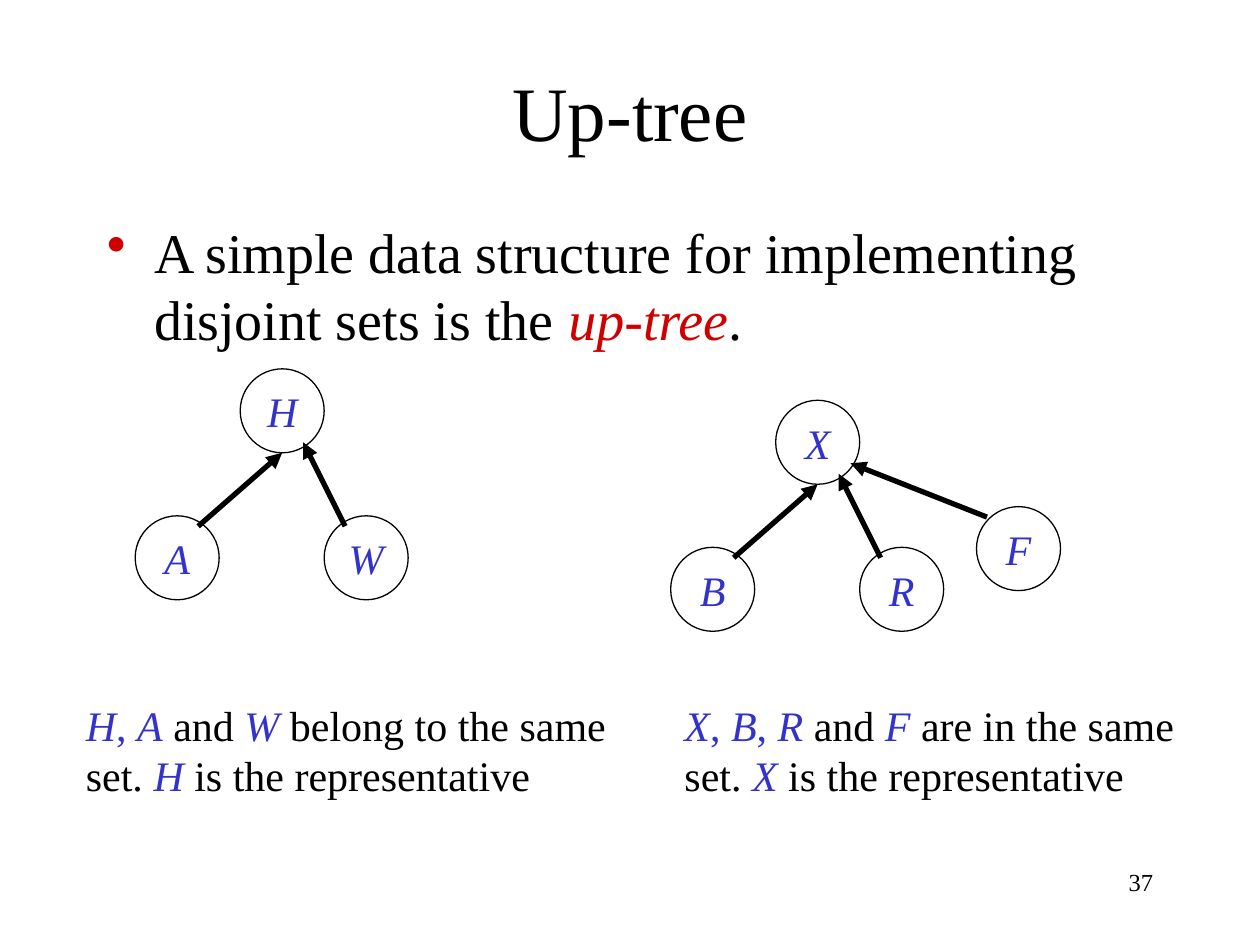
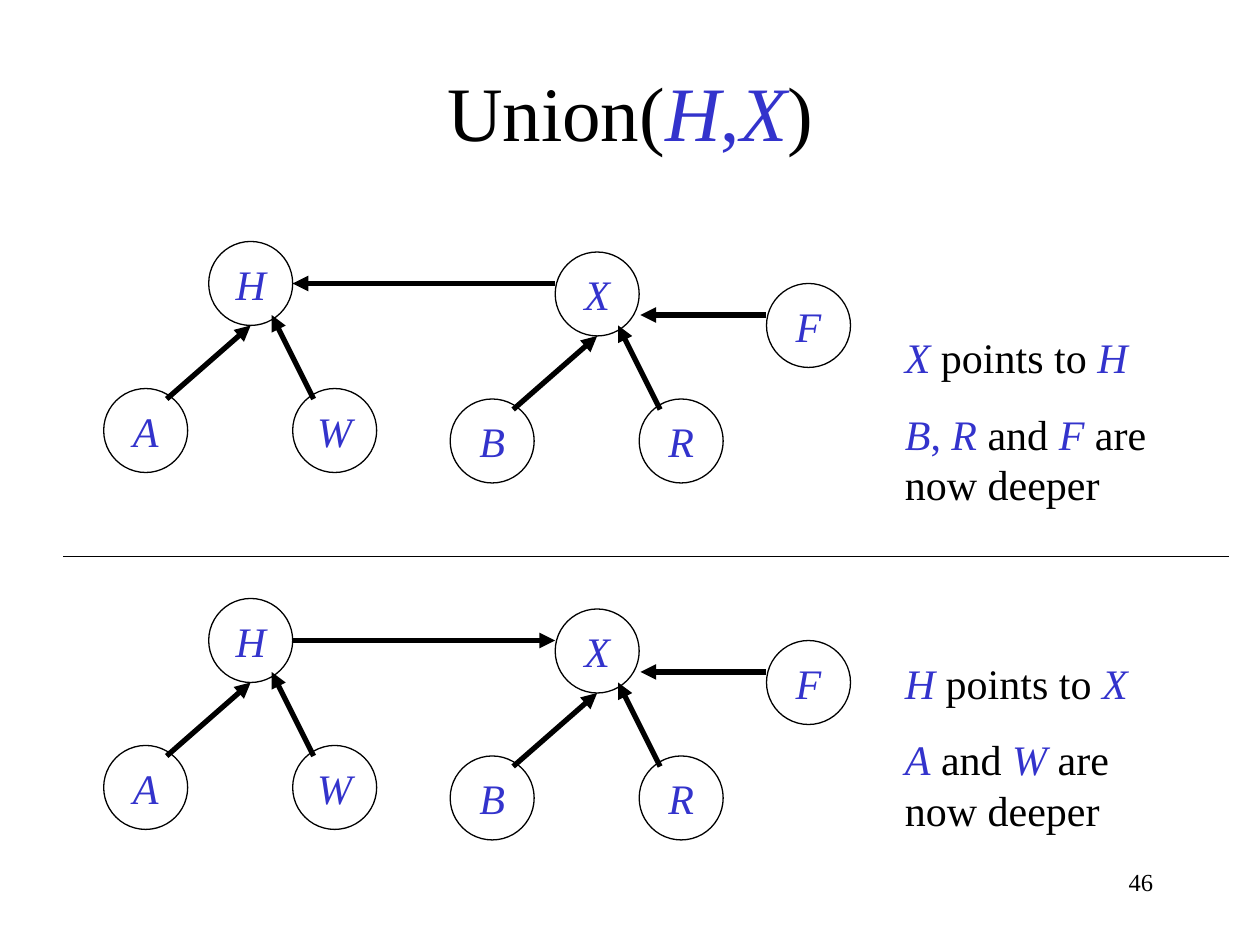
from lxml import etree
from pptx import Presentation, util as u
from pptx.dml.color import RGBColor
from pptx.enum import shapes, text
from pptx.oxml import ns

PX = 9525  # EMU in one px, 96 px to the inch
BLACK = RGBColor(0x00, 0x00, 0x00)
BLUE = RGBColor(0x33, 0x33, 0xCC)
RED = RGBColor(0xCE, 0x00, 0x00)
FONT = "Times New Roman"
NODE_SIZE = 64
LEFT_CHILD, RIGHT_CHILD = (-80, 112), (64, 112)


class Deck:
    def __init__(self):
        self.presentation = Presentation()
        self.presentation.slide_width = 960 * PX
        self.presentation.slide_height = 720 * PX
        self.slide = None

    def new_slide(self, title, number):
        self.slide = self.presentation.slides.add_slide(self.presentation.slide_layouts[6])
        self.text_box((72, 24, 816, 120), [title], 44, align=text.PP_ALIGN.CENTER,
                      anchor=text.MSO_ANCHOR.MIDDLE)
        self.text_box((688, 656, 200, 48), [number], 14, align=text.PP_ALIGN.RIGHT)

    def add_runs(self, paragraph, marked, size, accent):
        """Fill a paragraph; parts between asterisks are italic in the accent colour."""
        for index, part in enumerate(marked.split("*")):
            if not part:
                continue
            run = paragraph.add_run()
            run.text = part
            run.font.name = FONT
            run.font.size = u.Pt(size)
            run.font.italic = index % 2 == 1
            # Commas between two accented names take the accent colour too.
            accented = run.font.italic or part.strip() == ","
            run.font.color.rgb = accent if accented else BLACK

    def text_box(self, box, lines, size, accent=BLUE, align=text.PP_ALIGN.LEFT,
                 anchor=text.MSO_ANCHOR.TOP):
        frame = self.slide.shapes.add_textbox(*(length * PX for length in box)).text_frame
        frame.word_wrap = True
        frame.vertical_anchor = anchor
        for index, line in enumerate(lines):
            paragraph = frame.add_paragraph() if index else frame.paragraphs[0]
            paragraph.alignment = align
            if index:
                paragraph.space_before = u.Pt(15)
            self.add_runs(paragraph, line, size, accent)
        return frame

    def bullet(self, box, line):
        frame = self.text_box(box, [line], 32, accent=RED)
        properties = frame.paragraphs[0]._p.get_or_add_pPr()
        properties.set("marL", str(36 * PX))
        properties.set("indent", str(-36 * PX))
        color = etree.SubElement(properties, ns.qn("a:buClr"))
        etree.SubElement(color, ns.qn("a:srgbClr"), val=str(RED))
        etree.SubElement(properties, ns.qn("a:buChar"), char="•")

    def line(self, start, end, width=0.75, arrow=False):
        connector = self.slide.shapes.add_connector(
            shapes.MSO_CONNECTOR.STRAIGHT, *(length * PX for length in (*start, *end)))
        connector.line.color.rgb = BLACK
        connector.line.width = u.Pt(width)
        properties = connector._element.spPr
        if arrow:
            etree.SubElement(properties.get_or_add_ln(), ns.qn("a:tailEnd"), type="triangle")
        etree.SubElement(properties, ns.qn("a:effectLst"))

    def arrow(self, start, end):
        self.line(start, end, width=3, arrow=True)

    def node(self, name, left, top):
        shape = self.slide.shapes.add_shape(
            shapes.MSO_SHAPE.OVAL, left * PX, top * PX, NODE_SIZE * PX, NODE_SIZE * PX)
        shape.shadow.inherit = False
        shape.fill.background()
        shape.line.color.rgb = BLACK
        shape.line.width = u.Pt(0.75)
        frame = shape.text_frame
        frame.word_wrap = False
        frame.vertical_anchor = text.MSO_ANCHOR.MIDDLE
        frame.paragraphs[0].alignment = text.PP_ALIGN.CENTER
        self.add_runs(frame.paragraphs[0], f"*{name}*", 24, BLUE)

    def tree(self, names, left, top):
        """Draw a root, placed at left and top, with two children pointing up to it."""
        places = ((0, 0), LEFT_CHILD, RIGHT_CHILD)
        for name, (across, down) in zip(names, places):
            self.node(name, left + across, top + down)
        self.arrow((left - 32, top + 120), (left + 32, top + 64))
        self.arrow((left + 80, top + 120), (left + 48, top + 56))


def up_tree_slide(deck):
    deck.new_slide("Up-tree", "37")
    deck.bullet((72, 161, 816, 112),
                "A simple data structure for implementing disjoint sets is the *up-tree*.")
    deck.tree("HAW", 183, 281)
    deck.tree("XBR", 591, 305)
    deck.node("F", 744, 386)
    deck.arrow((752, 394), (648, 353))
    deck.text_box((56, 528, 432, 86),
                  ["*H*, *A* and *W* belong to the same set. *H* is the representative"], 24)
    deck.text_box((512, 528, 416, 86),
                  ["*X*, *B*, *R* and *F* are in the same set. *X* is the representative"], 24)


def union_slide(deck):
    deck.new_slide("Union(*H*,*X*)", "46")
    h_side, x_side = 223, 423
    for top, start, end in ((184, x_side, h_side), (456, h_side, x_side)):
        deck.tree("HAW", 159, top)
        deck.tree("XBR", x_side, top + 8)
        deck.node("F", 584, top + 32)
        deck.arrow((584, top + 56), (488, top + 56))
        deck.arrow((start, top + 32), (end, top + 32))
    deck.line((48, 424), (936, 424))
    deck.text_box((680, 248, 240, 145),
                  ["*X* points to *H*", "*B*, *R* and *F* are now deeper"], 24)
    deck.text_box((680, 496, 224, 145),
                  ["*H* points to *X*", "*A* and *W* are now deeper"], 24)


def main():
    deck = Deck()
    up_tree_slide(deck)
    union_slide(deck)
    deck.presentation.save("out.pptx")


if __name__ == "__main__":
    main()
